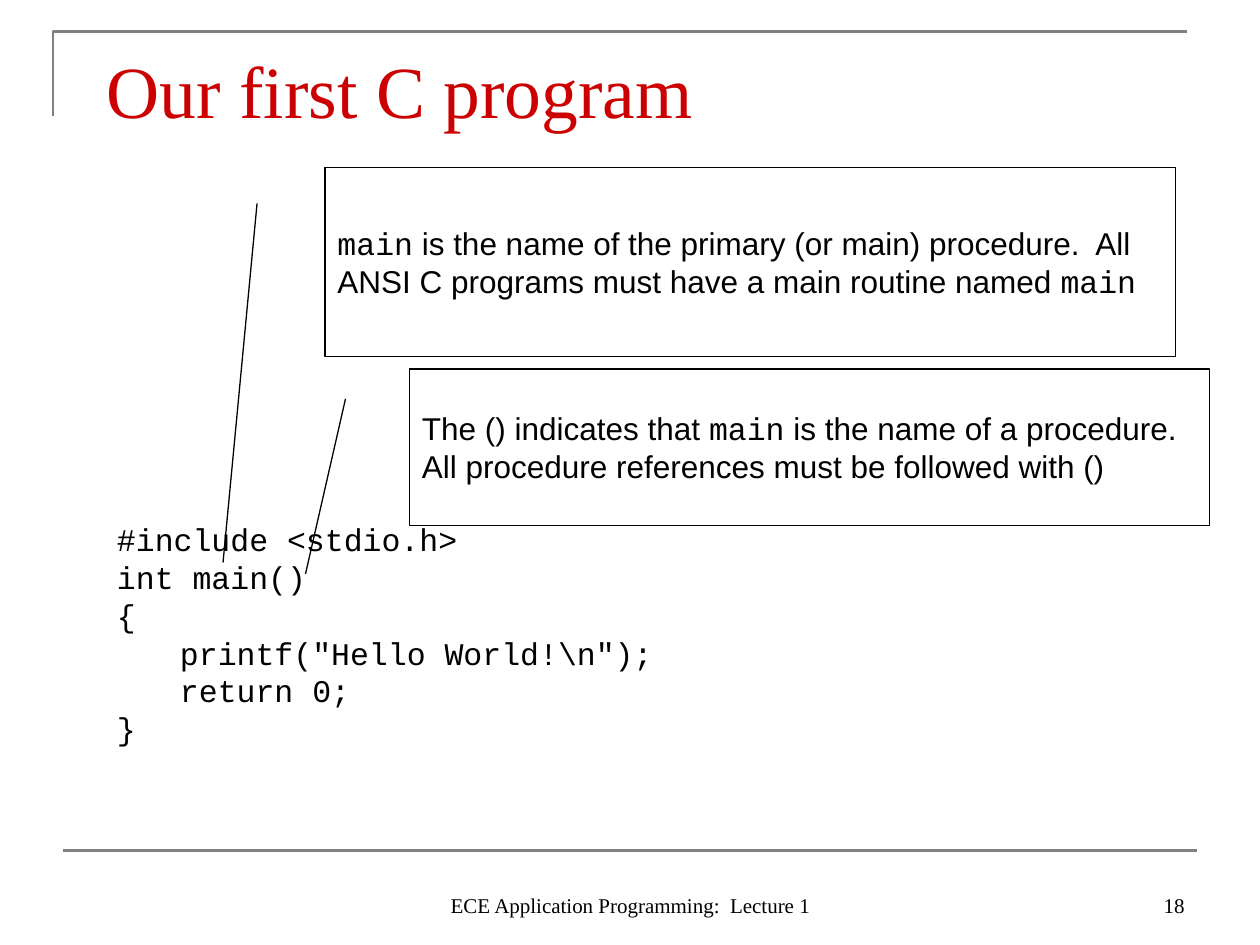
"""Build a lecture slide that annotates a first C program with two callouts."""
import pptx
import pptx.dml.color
import pptx.enum.shapes
import pptx.enum.text
import pptx.oxml.ns
import pptx.util
from pptx.util import Inches

SERIF, SANS, MONO = "Times New Roman", "Arial", "Courier New"
BLACK, GRAY, RED = "000000", "808080", "CC0000"
ALIGN = pptx.enum.text.PP_ALIGN
ANCHOR = pptx.enum.text.MSO_ANCHOR

CODE = r"""#include <stdio.h>
int main()
{
	printf("Hello World!\n");
	return 0;
}"""


def color(value):
    return pptx.dml.color.RGBColor.from_string(value)


def style_line(line, value, width):
    line.color.rgb = color(value)
    line.width = pptx.util.Pt(width)


def add_span(para, text, font, size, value=BLACK):
    span = para.add_run()
    span.text = text
    span.font.name = font
    span.font.size = pptx.util.Pt(size)
    span.font.color.rgb = color(value)


def first_para(shape, anchor, align=ALIGN.LEFT):
    frame = shape.text_frame
    frame.word_wrap = True
    frame.vertical_anchor = anchor
    para = frame.paragraphs[0]
    para.alignment = align
    return para


def add_text(page, place, text, font, size, value=BLACK,
             anchor=ANCHOR.BOTTOM, align=ALIGN.LEFT):
    box = page.shapes.add_textbox(*map(Inches, place))
    add_span(first_para(box, anchor, align), text, font, size, value)


def add_code(page, place, code):
    box = page.shapes.add_textbox(*map(Inches, place))
    para = first_para(box, ANCHOR.TOP)
    para.line_spacing = pptx.util.Pt(21.6)
    for number, text in enumerate(code.split("\n")):
        if number:
            para.add_line_break()
        add_span(para, text, MONO, 18)


def add_callout(page, place, pointer, spans):
    kind = pptx.enum.shapes.MSO_SHAPE.LINE_CALLOUT_1
    callout = page.shapes.add_shape(kind, *map(Inches, place))
    callout.shadow.inherit = False
    callout.fill.background()
    style_line(callout.line, BLACK, 0.75)
    for index, value in enumerate(pointer):
        callout.adjustments[index] = value
    para = first_para(callout, ANCHOR.MIDDLE)
    for text, font in spans:
        add_span(para, text, font, 18)


def add_corner(page, left, top, right, bottom):
    builder = page.shapes.build_freeform(Inches(left), Inches(bottom))
    points = [(left, top), (right, top)]
    builder.add_line_segments([(Inches(x), Inches(y)) for x, y in points], close=False)
    corner = builder.convert_to_shape()
    corner.shadow.inherit = False
    corner.fill.background()
    style_line(corner.line, GRAY, 1.5)


def add_rule(page, left, right, top):
    kind = pptx.enum.shapes.MSO_CONNECTOR.STRAIGHT
    rule = page.shapes.add_connector(kind, *map(Inches, (left, top, right, top)))
    style_line(rule.line, GRAY, 1.5)
    properties = rule._element.spPr
    properties.append(properties.makeelement(pptx.oxml.ns.qn("a:effectLst"), {}))


def main():
    deck = pptx.Presentation()
    deck.slide_width, deck.slide_height = Inches(10), Inches(7.5)
    page = deck.slides.add_slide(deck.slide_layouts[6])

    add_corner(page, 0.42, 0.25, 9.42, 0.92)
    add_rule(page, 0.5, 9.5, 6.75)
    add_text(page, (7.17, 6.83, 2.33, 0.5), "18", SERIF, 12, align=ALIGN.RIGHT)
    add_text(page, (0.75, 0.25, 8.5, 0.92), "Our first C program", SERIF, 42, RED,
             anchor=ANCHOR.MIDDLE)
    add_code(page, (0.83, 4.08, 8.58, 1.9), CODE)
    add_callout(page, (2.58, 1.33, 6.75, 1.5), (0.19, -0.08, 2.09, -0.12), [
        ("main", MONO),
        (" is the name of the primary (or main) procedure.  All ANSI C programs "
         "must have a main routine named ", SANS),
        ("main", MONO)])
    add_callout(page, (3.25, 2.93, 6.35, 1.24), (0.19, -0.08, 1.31, -0.13), [
        ("The () indicates that ", SANS),
        ("main", MONO),
        (" is the name of a procedure.  All procedure references must be "
         "followed with ()", SANS)])
    add_text(page, (3.42, 6.83, 3.17, 0.5), "ECE Application Programming:  Lecture 1",
             SERIF, 12, align=ALIGN.CENTER)
    deck.save("out.pptx")


if __name__ == "__main__":
    main()
